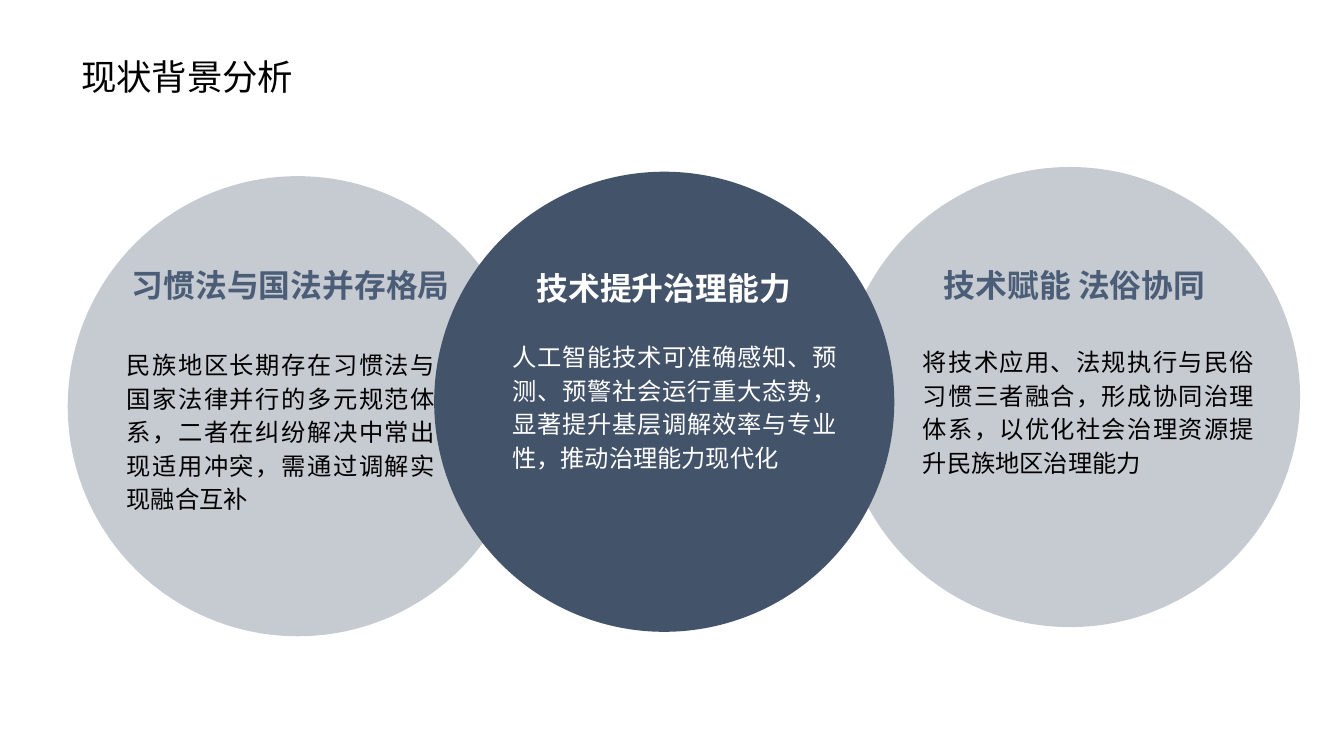
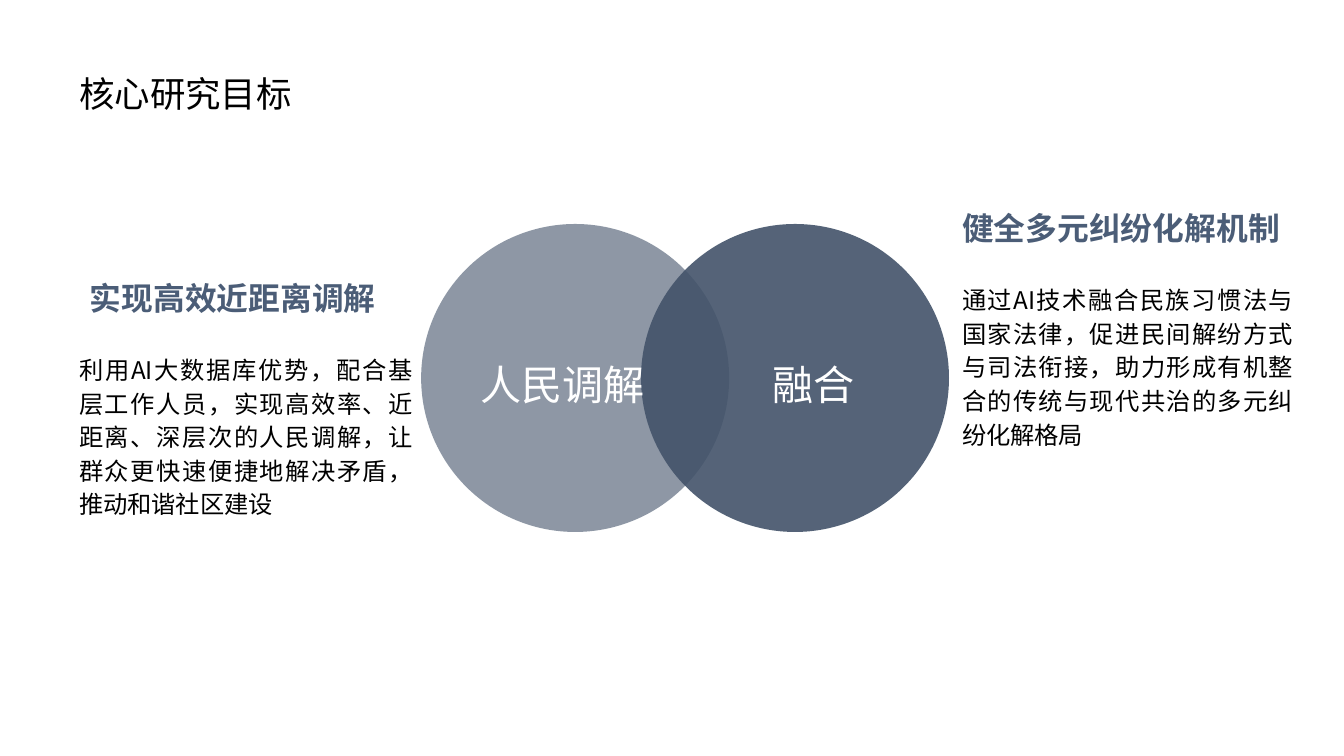
from lxml import etree
from pptx import Presentation
from pptx.dml.color import RGBColor
from pptx.enum.shapes import MSO_SHAPE
from pptx.enum.text import MSO_ANCHOR, MSO_AUTO_SIZE, PP_ALIGN
from pptx.oxml.ns import qn
from pptx.util import Pt

COLORS = {"navy": "43536A", "heading": "4B5D77", "black": "000000", "white": "FFFFFF"}
SC, JP, ARIAL = "Noto Sans CJK SC", "Noto Sans CJK JP", "Arial"
INSET = 7.2
TITLE_W, TITLE_H = 687.6, 46.8
BODY_PITCH = 18


def rgb(name):
    return RGBColor.from_string(COLORS[name])


def write(s, text, font, size, color, bold=False, align=PP_ALIGN.LEFT,
          spacing=1.2, anchor=MSO_ANCHOR.TOP):
    """Fill a shape's text frame with one formatted paragraph."""
    tf = s.text_frame
    tf.text = text
    tf.word_wrap = True
    tf.auto_size = MSO_AUTO_SIZE.NONE
    tf.vertical_anchor = anchor
    tf.margin_left = tf.margin_right = tf.margin_top = tf.margin_bottom = Pt(INSET)
    p = tf.paragraphs[0]
    p.alignment = align
    p.line_spacing = spacing
    p.space_before = Pt(0)
    r = p.runs[0]
    r.font.name = font
    r.font.size = Pt(size)
    r.font.bold = bold
    r.font.color.rgb = rgb(color)
    latin = r.font._element.find(qn("a:latin"))
    ea = etree.Element(qn("a:ea"), typeface=font)
    latin.addnext(ea)


def add_text(slide, box, text, font, size, color, **style):
    s = slide.shapes.add_textbox(*map(Pt, box))
    write(s, text, font, size, color, **style)


def add_heading(slide, box, text, font, color="heading", align=PP_ALIGN.LEFT):
    add_text(slide, box, text, font, 17, color, bold=True, align=align)


def add_body(slide, box, text, font, color="black"):
    add_text(slide, box, text, font, 13, color, align=PP_ALIGN.JUSTIFY,
             spacing=Pt(BODY_PITCH))


def add_circle(slide, left, top, size, opacity=100):
    s = slide.shapes.add_shape(MSO_SHAPE.OVAL, *map(Pt, (left, top, size, size)))
    s.shadow.inherit = False
    s.line.fill.background()
    s.fill.solid()
    s.fill.fore_color.rgb = rgb("navy")
    if opacity < 100:
        color = s._element.spPr.find(qn("a:solidFill"))[0]
        etree.SubElement(color, qn("a:alpha"), val=str(opacity * 1000))


def add_titled_slide(prs, title, left, top):
    slide = prs.slides.add_slide(prs.slide_layouts[5])
    s = slide.shapes.title
    s.left, s.top, s.width, s.height = map(Pt, (left, top, TITLE_W, TITLE_H))
    write(s, title, SC, 19, "black", anchor=MSO_ANCHOR.MIDDLE)
    return slide


def add_background_slide(prs):
    slide = add_titled_slide(prs, "现状背景分析", 36.2, 15.4)
    for left, top, opacity in ((36.3, 94.4, 30), (450, 89.5, 30), (232.6, 92, 100)):
        add_circle(slide, left, top, 246.5, opacity)

    themes = (
        ("习惯法与国法并存格局", (59, 131, 193.7, 38.9), "heading",
         "民族地区长期存在习惯法与国家法律并行的多元规范体系，"
         "二者在纠纷解决中常出现适用冲突，需通过调解实现融合互补",
         (60.8, 178, 179.3, 106.6), "black"),
        ("技术提升治理能力", (264.2, 132.5, 182.9, 38.9), "white",
         "人工智能技术可准确感知、预测、预警社会运行重大态势，"
         "显著提升基层调解效率与专业性，推动治理能力现代化",
         (267.4, 173.8, 187.9, 87.8), "white"),
        ("技术赋能 法俗协同", (489.6, 131, 172.1, 38.9), "heading",
         "将技术应用、法规执行与民俗习惯三者融合，形成协同治理体系，"
         "以优化社会治理资源提升民族地区治理能力",
         (487.4, 176.4, 191.5, 87.8), "black"),
    )
    for heading, head_box, head_color, body, body_box, body_color in themes:
        add_body(slide, body_box, body, ARIAL, body_color)
        add_heading(slide, head_box, heading, SC, head_color, PP_ALIGN.CENTER)


def add_goals_slide(prs):
    slide = add_titled_slide(prs, "核心研究目标", 35.3, 24.5)
    circles = (("人民调解", 225.6, 60, 230.4), ("融合", 343.4, 90, 365))
    for _, left, opacity, _ in circles:
        add_circle(slide, left, 120, 165, opacity)
    for label, _, _, left in circles:
        add_text(slide, (left, 181.4, 141.8, 43.2), label, JP, 22, "white",
                 align=PP_ALIGN.CENTER, spacing=1.15)

    goals = (
        ("实现高效近距离调解", 41, 138.2,
         "利用AI大数据库优势，配合基层工作人员，实现高效率、近距离、深层次的人民调解，"
         "让群众更快速便捷地解决矛盾，推动和谐社区建设", 35.3, 193),
        ("健全多元纠纷化解机制", 508.3, 100.8,
         "通过AI技术融合民族习惯法与国家法律，促进民间解纷方式与司法衔接，"
         "助力形成有机整合的传统与现代共治的多元纠纷化解格局", 508.3, 191.5),
    )
    for heading, head_left, head_top, body, body_left, body_width in goals:
        add_heading(slide, (head_left, head_top, 191.5, 41.8), heading, JP)
        add_body(slide, (body_left, head_top + 42.5, body_width, 106.6), body, JP)


def main():
    prs = Presentation()
    prs.slide_width, prs.slide_height = Pt(720), Pt(405)
    add_background_slide(prs)
    add_goals_slide(prs)
    prs.save("out.pptx")


if __name__ == "__main__":
    main()
